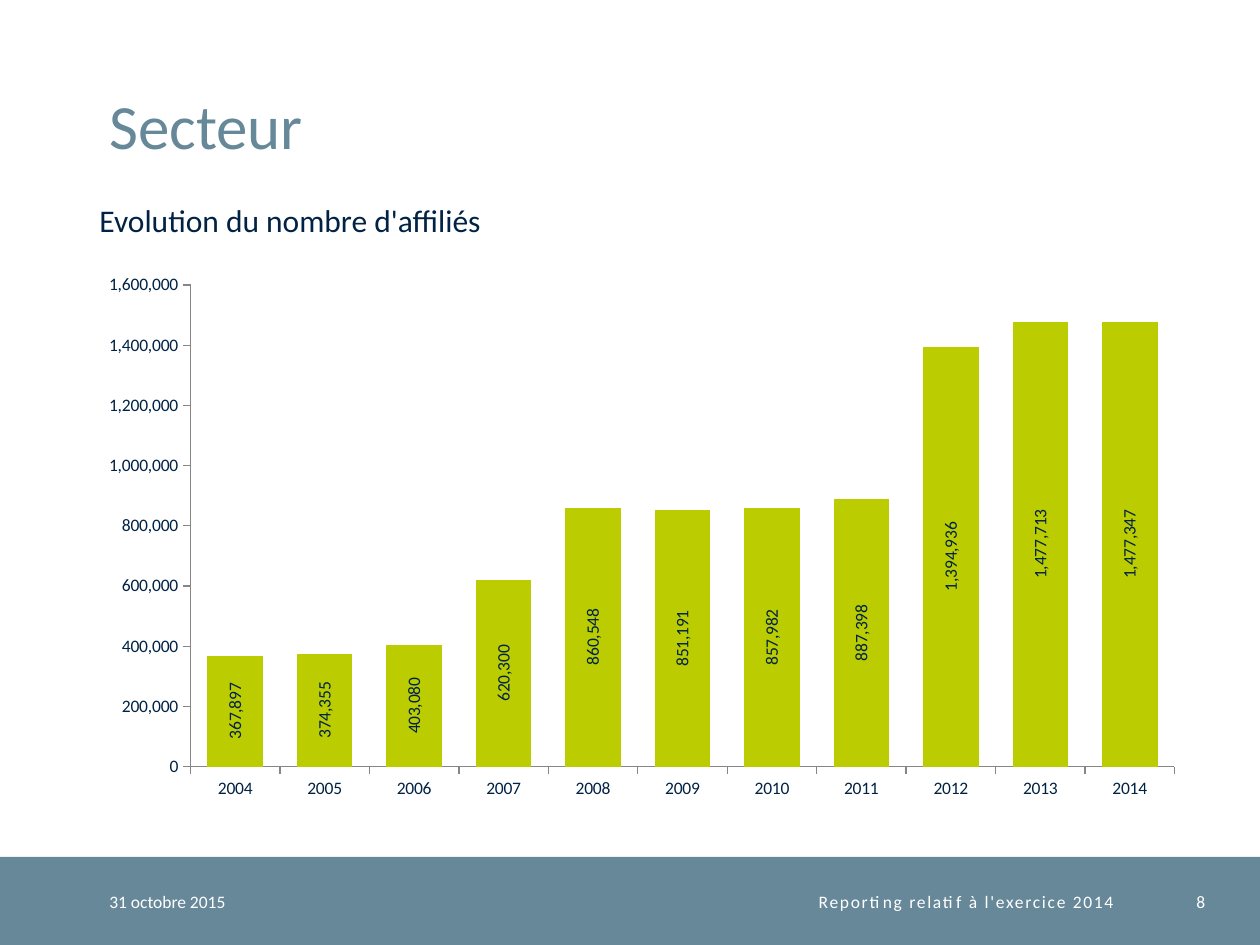
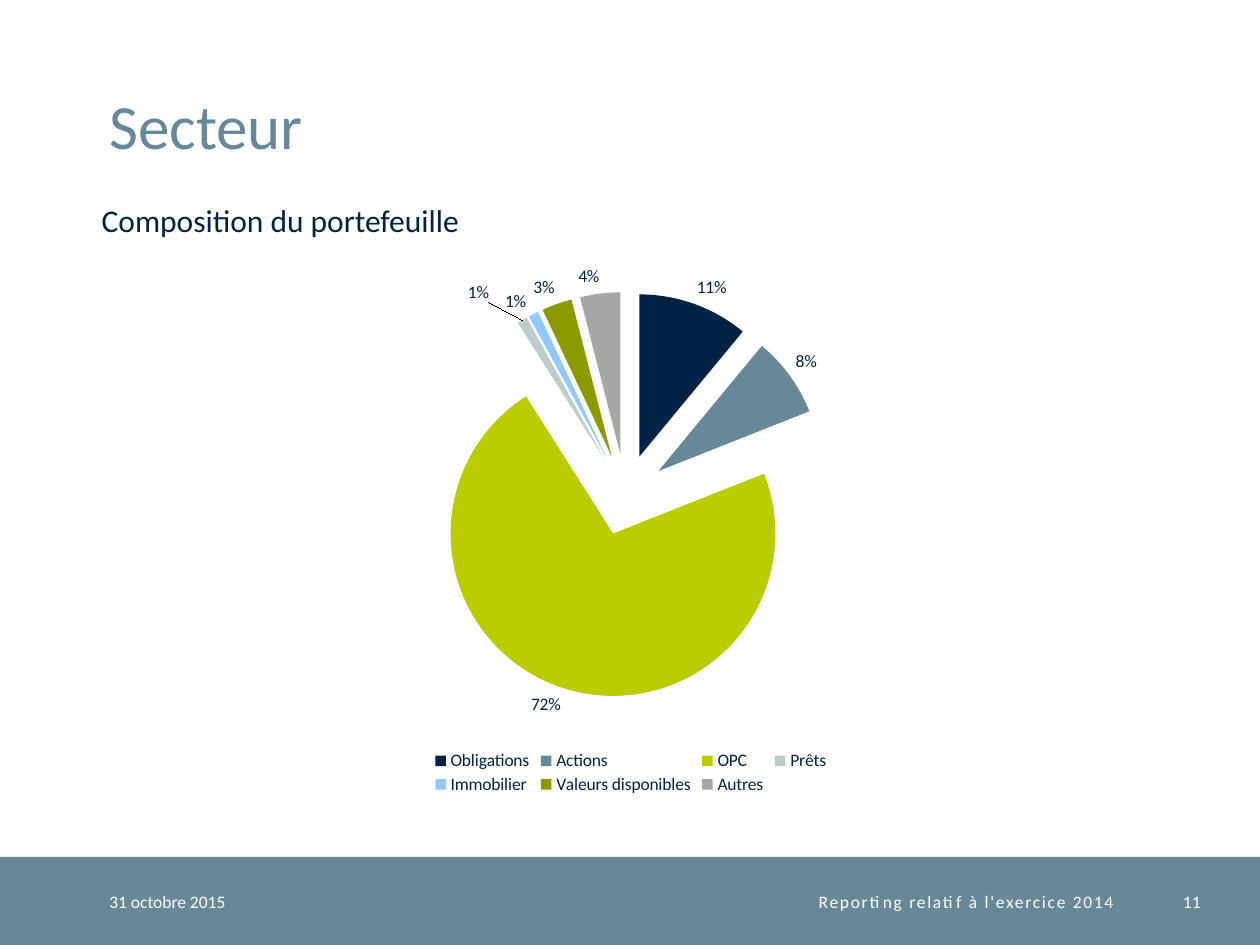
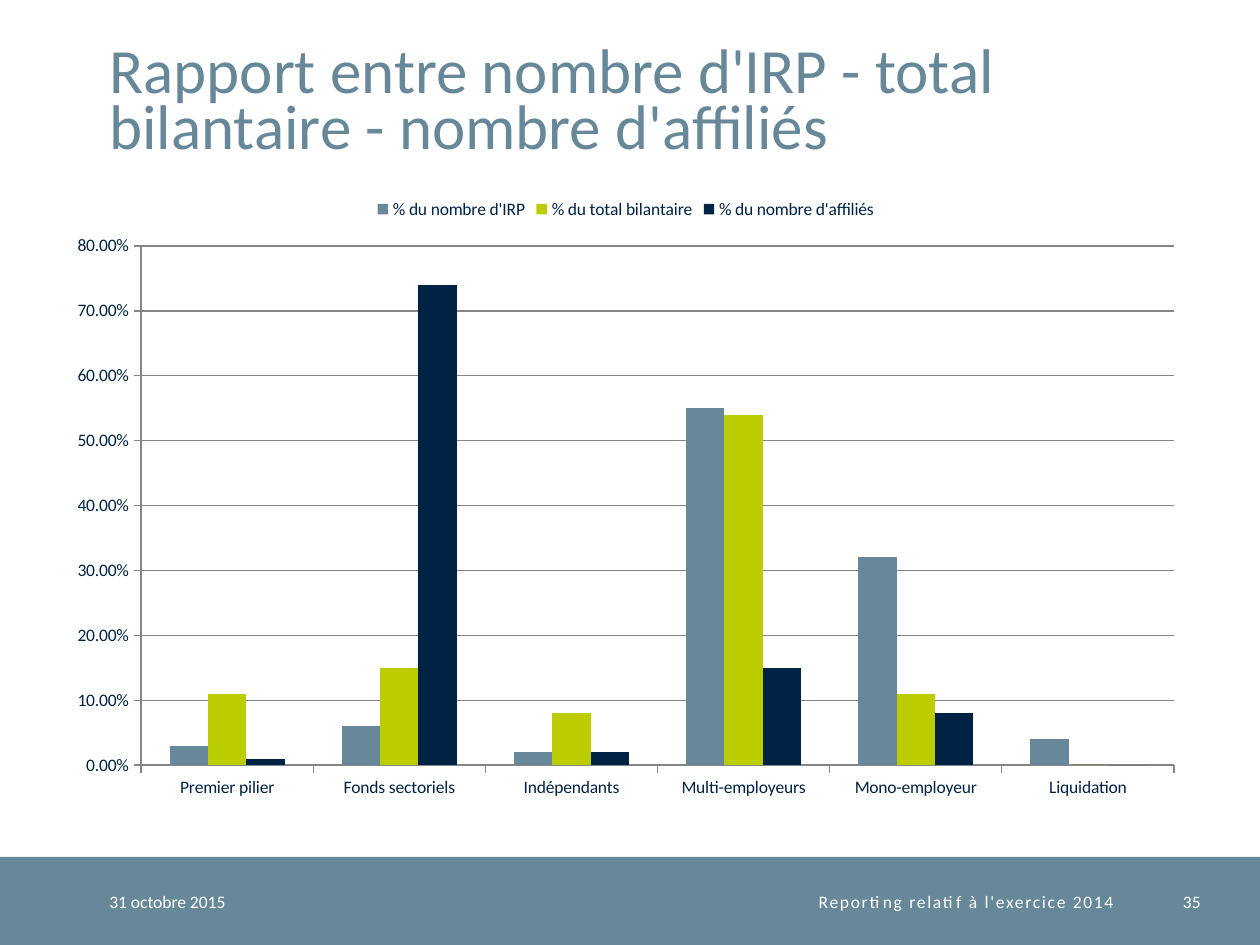
from lxml import etree
from pptx import Presentation
from pptx.chart.data import CategoryChartData
from pptx.dml.color import RGBColor
from pptx.enum.chart import XL_CHART_TYPE, XL_LABEL_POSITION, XL_LEGEND_POSITION, XL_TICK_MARK
from pptx.enum.shapes import MSO_SHAPE
from pptx.enum.text import MSO_ANCHOR, PP_ALIGN
from pptx.oxml.ns import qn
from pptx.util import Pt

STACKED, CLUSTERED, PIE = (XL_CHART_TYPE.COLUMN_STACKED, XL_CHART_TYPE.COLUMN_CLUSTERED,
                           XL_CHART_TYPE.PIE)
CENTER, OUTSIDE_END = XL_LABEL_POSITION.CENTER, XL_LABEL_POSITION.OUTSIDE_END
TOP, BOTTOM = XL_LEGEND_POSITION.TOP, XL_LEGEND_POSITION.BOTTOM
TICK_OUT = XL_TICK_MARK.OUTSIDE
ANCHOR_TOP, ANCHOR_MIDDLE, ANCHOR_BOTTOM = MSO_ANCHOR.TOP, MSO_ANCHOR.MIDDLE, MSO_ANCHOR.BOTTOM
LEFT, RIGHT = PP_ALIGN.LEFT, PP_ALIGN.RIGHT

# Shared look
FONT = "Calibri"
COLORS = {
    "slate": "668899", "navy": "002244", "lime": "BBCC00", "mist": "BBCCCC",
    "sky": "91C8FF", "olive": "8B9A00", "silver": "A6A6A6", "axis": "868686",
    "white": "FFFFFF",
}
BAND_TOP, BAND_HEIGHT = 489.6, 50.4
FOOTER_TOP = 490
MARGIN = 62.5
TEXT_STYLES = {
    "title": {"size": 36, "color": "slate", "anchor": ANCHOR_BOTTOM, "align": LEFT,
              "inset": (0, 0), "line_spacing": Pt(32)},
    "heading": {"size": 18, "color": "navy", "anchor": ANCHOR_TOP, "align": LEFT,
                "inset": (7.2, 3.6)},
    "footer": {"size": 10, "color": "white", "anchor": ANCHOR_MIDDLE, "align": LEFT,
               "inset": (0, 0)},
}
TEXT_STYLES["footer right"] = {**TEXT_STYLES["footer"], "align": RIGHT}
TEXT_STYLES["footer spaced"] = {**TEXT_STYLES["footer right"], "spacing": 100}

DATE = "31 octobre 2015"
REPORT = "Reporting relatif à l'exercice 2014"

# Content: frames are (left, top, width, height) in points on the slide
SLIDES = [
    {
        "title": "Secteur", "number": "8", "number_right": 688.7,
        "heading": ("Evolution du nombre d'affiliés", 49.7),
        "chart": {
            "type": STACKED, "frame": (49.7, 151.2, 634.3, 311.8),
            "plot": (108.9, 162.9, 562.3, 275.2),
            "format": "#,##0", "maximum": 1600000, "step": 200000, "gap": 61, "overlap": 100,
            "categories": [str(year) for year in range(2004, 2015)],
            "series": [("Affiliés", "lime", [367897, 374355, 403080, 620300, 860548, 851191,
                                             857982, 887398, 1394936, 1477713, 1477347])],
            "labels": {"position": CENTER, "rotation": "-5400000"},
        },
    },
    {
        "title": "Secteur", "number": "11", "number_right": 686,
        "heading": ("Composition du portefeuille", 51),
        "chart": {
            "type": PIE, "frame": (36.7, 141.8, 647.3, 315.4),
            "plot": (241.5, 166.9, 232, 232),
            "format": "0%", "explosion": 25,
            "categories": ["Obligations", "Actions", "OPC", "Prêts", "Immobilier",
                           "Valeurs disponibles", "Autres"],
            "series": [("Portefeuille", "slate", [0.11, 0.08, 0.72, 0.01, 0.01, 0.03, 0.04])],
            "points": ["navy", "slate", "lime", "mist", "sky", "olive", "silver"],
            "labels": {"position": OUTSIDE_END, "moved": {3: (-17, -6.5), 4: (-2.4, 2)}},
            "legend": BOTTOM, "legend_frame": (245.4, 427, 230, 29),
        },
    },
    {
        "title": "Rapport entre nombre d'IRP - total bilantaire - nombre d'affiliés",
        "number": "35", "number_right": 686,
        "chart": {
            "type": CLUSTERED, "frame": (31, 105.8, 653, 357.1),
            "plot": (80.6, 140.6, 590.3, 296.7),
            "format": "0.00%", "maximum": 0.8, "step": 0.1, "gap": 150, "overlap": 0,
            "grid": True, "legend": TOP,
            "categories": ["Premier pilier", "Fonds sectoriels", "Indépendants",
                           "Multi-employeurs", "Mono-employeur", "Liquidation"],
            "series": [
                ("% du nombre d'IRP", "slate", [0.03, 0.06, 0.02, 0.55, 0.32, 0.04]),
                ("% du total bilantaire", "lime", [0.11, 0.15, 0.08, 0.54, 0.11, 0]),
                ("% du nombre d'affiliés", "navy", [0.01, 0.74, 0.02, 0.15, 0.08, 0]),
            ],
        },
    },
]


def rgb(name):
    return RGBColor.from_string(COLORS[name])


def points(*lengths):
    return [Pt(length) for length in lengths]


def fill(part, color):
    part.fill.solid()
    part.fill.fore_color.rgb = rgb(color)


def add_text(slide, text, frame, style_name):
    style = TEXT_STYLES[style_name]
    text_frame = slide.shapes.add_textbox(*points(*frame)).text_frame
    side, end = points(*style["inset"])
    settings = {"word_wrap": True, "vertical_anchor": style["anchor"], "margin_left": side,
                "margin_right": side, "margin_top": end, "margin_bottom": end}
    for name, value in settings.items():
        setattr(text_frame, name, value)
    paragraph = text_frame.paragraphs[0]
    paragraph.alignment = style["align"]
    paragraph.line_spacing = style.get("line_spacing")
    run = paragraph.add_run()
    run.text = text
    for name, value in {"name": FONT, "size": Pt(style["size"])}.items():
        setattr(run.font, name, value)
    run.font.color.rgb = rgb(style["color"])
    if "spacing" in style:
        run.font._element.set("spc", str(style["spacing"]))


def add_frame(slide, content):
    """Title, optional heading, and footer band."""
    band = slide.shapes.add_shape(MSO_SHAPE.RECTANGLE, *points(0, BAND_TOP, 720, BAND_HEIGHT))
    band.shadow.inherit = False
    fill(band, "slate")
    band.line.fill.background()
    add_text(slide, content["title"], (MARGIN, 14.8, 621.4, 77.8), "title")
    if "heading" in content:
        text, left = content["heading"]
        add_text(slide, text, (left, 111.2, 646, 29), "heading")
    footers = [(DATE, MARGIN, 190, "footer"), (REPORT, 190, 636.4, "footer spaced"),
               (content["number"], 651, content["number_right"], "footer right")]
    for text, left, right, style in footers:
        add_text(slide, text, (left, FOOTER_TOP, right - left, BAND_HEIGHT), style)


def layout_xml(values, inner=False):
    """A manual chart layout; two values are an offset, four are a frame."""
    layout = etree.Element(qn("c:layout"))
    manual = etree.SubElement(layout, qn("c:manualLayout"))
    settings = [("layoutTarget", "inner")] if inner else []
    if len(values) == 4:
        settings += [("xMode", "edge"), ("yMode", "edge")]
    settings += zip("xywh", values)
    for name, value in settings:
        etree.SubElement(manual, qn("c:" + name)).set("val", str(value))
    return layout


def relative(frame, chart_frame):
    left, top, width, height = chart_frame
    return ((frame[0] - left) / width, (frame[1] - top) / height,
            frame[2] / width, frame[3] / height)


def replace_layout(parent, layout, index):
    for old in parent.findall(qn("c:layout")):
        parent.remove(old)
    parent.insert(index, layout)


def style_axes(chart, spec):
    value_axis, category_axis = chart.value_axis, chart.category_axis
    for axis in (value_axis, category_axis):
        axis.major_tick_mark = TICK_OUT
        axis.has_major_gridlines = False
        axis.format.line.color.rgb = rgb("axis")
        axis.format.line.width = Pt(0.75)
    value_axis.minimum_scale = 0
    value_axis.maximum_scale = spec["maximum"]
    value_axis.major_unit = spec["step"]
    value_axis.tick_labels.number_format = spec["format"]
    value_axis.tick_labels.number_format_is_linked = False
    if spec.get("grid"):
        value_axis.has_major_gridlines = True
        line = value_axis.major_gridlines.format.line
        line.color.rgb = rgb("axis")
        line.width = Pt(0.75)
    chart.plots[0].gap_width = spec["gap"]
    chart.plots[0].overlap = spec["overlap"]


def add_labels(series, spec):
    label_spec = spec["labels"]
    labels = series.data_labels
    settings = {"show_value": True, "position": label_spec["position"],
                "number_format": spec["format"], "number_format_is_linked": False}
    for name, value in settings.items():
        setattr(labels, name, value)
    labels.font.size = Pt(10)
    labels.font.color.rgb = rgb("navy")
    if "rotation" in label_spec:
        body = labels._element.find(qn("c:txPr")).find(qn("a:bodyPr"))
        body.set("rot", label_spec["rotation"])
        body.set("vert", "horz")
    width, height = spec["frame"][2:]
    for index, (right, down) in label_spec.get("moved", {}).items():
        series.points[index].data_label.position = label_spec["position"]
        label = next(item for item in labels._element.findall(qn("c:dLbl"))
                     if item.find(qn("c:idx")).get("val") == str(index))
        replace_layout(label, layout_xml((right / width, down / height)), 1)


def add_chart(slide, spec):
    data = CategoryChartData(number_format=spec["format"])
    data.categories = spec["categories"]
    for name, _, values in spec["series"]:
        data.add_series(name, values)
    chart = slide.shapes.add_chart(spec["type"], *points(*spec["frame"]), data).chart
    chart.has_title = False
    chart.font.name = FONT
    chart.font.size = Pt(10)
    chart.font.color.rgb = rgb("navy")
    plot = chart.plots[0]
    plot.vary_by_categories = "points" in spec
    if spec["type"] != PIE:
        style_axes(chart, spec)

    for series, (_, color, _) in zip(plot.series, spec["series"]):
        fill(series.format, color)
        if "explosion" in spec:
            explosion = etree.Element(qn("c:explosion"))
            explosion.set("val", str(spec["explosion"]))
            series._element.find(qn("c:spPr")).addnext(explosion)
        for index, point_color in enumerate(spec.get("points", [])):
            fill(series.points[index].format, point_color)
        if "labels" in spec:
            add_labels(series, spec)

    chart.has_legend = "legend" in spec
    if chart.has_legend:
        chart.legend.position = spec["legend"]
        chart.legend.include_in_layout = False
        if "legend_frame" in spec:
            frame = relative(spec["legend_frame"], spec["frame"])
            replace_layout(chart.legend._element, layout_xml(frame), 1)
    plot_area = chart._chartSpace.find(qn("c:chart")).find(qn("c:plotArea"))
    replace_layout(plot_area, layout_xml(relative(spec["plot"], spec["frame"]), inner=True), 0)


def main():
    presentation = Presentation()
    presentation.slide_width, presentation.slide_height = points(720, 540)
    for content in SLIDES:
        slide = presentation.slides.add_slide(presentation.slide_layouts[6])
        add_frame(slide, content)
        add_chart(slide, content["chart"])
    presentation.save("out.pptx")


if __name__ == "__main__":
    main()
